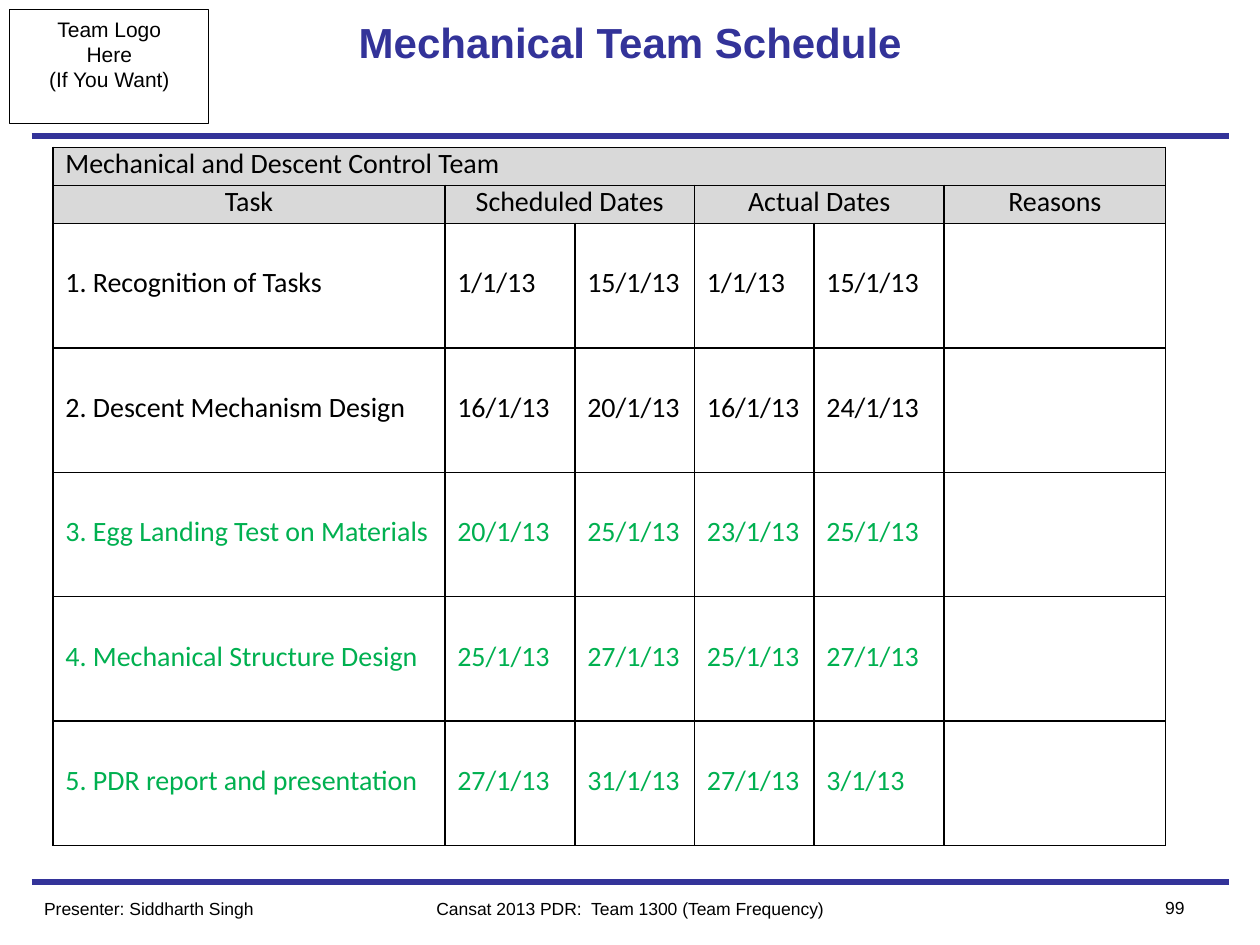
from lxml.etree import SubElement
from pptx import Presentation
from pptx.dml.color import RGBColor
from pptx.enum.shapes import MSO_CONNECTOR, MSO_SHAPE
from pptx.enum.text import MSO_ANCHOR, MSO_AUTO_SIZE, PP_ALIGN
from pptx.oxml import parse_xml
from pptx.oxml.ns import nsdecls, qn
from pptx.util import Cm, Pt

HUES = {"blue": "333399", "black": "000000", "green": "00B050", "gray": "D9D9D9"}
LEFT, MID, RIGHT = PP_ALIGN.LEFT, PP_ALIGN.CENTER, PP_ALIGN.RIGHT


def hue(name):
    return RGBColor.from_string(HUES[name])


def write(frame, text, size=10, face="Arial", color="black", bold=False,
          align=LEFT, anchor=MSO_ANCHOR.TOP, space=1.0):
    frame.vertical_anchor = anchor
    frame.text = text
    for para in frame.paragraphs:
        para.alignment = align
        para.line_spacing = space
        for run in para.runs:
            font = run.font
            font.size, font.name, font.bold = Pt(size), face, bold
            font.color.rgb = hue(color)


deck = Presentation()
deck.slide_width, deck.slide_height = Cm(25.4), Cm(19.05)
slide = deck.slides.add_slide(deck.slide_layouts[5])
shapes = slide.shapes

# Rules above and below the content
for y in (2.74, 17.78):
    rule = shapes.add_connector(MSO_CONNECTOR.STRAIGHT, Cm(0.64), Cm(y), Cm(24.77), Cm(y))
    rule.line.color.rgb = hue("blue")
    rule.line.width = Pt(3)
    SubElement(rule._element.spPr, qn("a:effectLst"))

# Logo box
logo = shapes.add_shape(MSO_SHAPE.RECTANGLE, Cm(0.2), Cm(0.2), Cm(4.01), Cm(2.29))
logo.shadow.inherit = False
logo.fill.background()
logo.line.color.rgb = hue("black")
logo.line.width = Pt(0.5)
write(logo.text_frame, "Team Logo\nHere\n(If You Want)", size=12, align=MID)
logo.text_frame.word_wrap = False

# Title
title = shapes.title
title.left, title.top, title.width, title.height = Cm(4.45), Cm(0.2), Cm(16.51), Cm(2.34)
write(title.text_frame, "Mechanical Team Schedule", size=24, color="blue",
      bold=True, align=MID)
title.text_frame.auto_size = MSO_AUTO_SIZE.NONE

# Footer
for text, x, y, wide, align in (
    ("Presenter: Siddharth Singh", 0.64, 17.98, 6.35, LEFT),
    ("Cansat 2013 PDR:  Team 1300 (Team Frequency)", 7.62, 17.98, 10.16, MID),
    ("99", 22.23, 17.95, 1.9, RIGHT),
):
    box = shapes.add_textbox(Cm(x), Cm(y), Cm(wide), Cm(0.69))
    box.text_frame.word_wrap = True
    write(box.text_frame, text, align=align)

# Schedule table: two heading rows, then one row per task
rows = (
    ("Mechanical and Descent Control Team", "", "", "", "", ""),
    ("Task", "Scheduled Dates", "", "Actual Dates", "", "Reasons"),
    ("1. Recognition of Tasks", "1/1/13", "15/1/13", "1/1/13", "15/1/13", ""),
    ("2. Descent Mechanism Design", "16/1/13", "20/1/13", "16/1/13", "24/1/13", ""),
    ("3. Egg Landing Test on Materials", "20/1/13", "25/1/13", "23/1/13", "25/1/13", ""),
    ("4. Mechanical Structure Design", "25/1/13", "27/1/13", "25/1/13", "27/1/13", ""),
    ("5. PDR report and presentation", "27/1/13", "31/1/13", "27/1/13", "3/1/13", ""),
)
wides = (7.9, 2.62, 2.41, 2.41, 2.62, 4.47)
highs = [0.76] * 2 + [2.51] * 5
table = shapes.add_table(len(rows), len(wides), Cm(1.07), Cm(2.97),
                         Cm(sum(wides)), Cm(sum(highs))).table
table.first_row = table.horz_banding = False
for col, wide in zip(table.columns, wides):
    col.width = Cm(wide)
for row, high in zip(table.rows, highs):
    row.height = Cm(high)
for r, first, last in ((0, 0, 5), (1, 1, 2), (1, 3, 4)):
    table.cell(r, first).merge(table.cell(r, last))

for r, row in enumerate(rows):
    for c, text in enumerate(row):
        cell = table.cell(r, c)
        cell.margin_left = cell.margin_right = Cm(0.25)
        cell.margin_top, cell.margin_bottom = Cm(0.08), Cm(0.13)
        cell.vertical_anchor = MSO_ANCHOR.MIDDLE
        for side in "LRTB":
            cell._tc.get_or_add_tcPr().append(parse_xml(
                f'<a:ln{side} {nsdecls("a")} w="12700"><a:solidFill>'
                f'<a:srgbClr val="{HUES["black"]}"/></a:solidFill></a:ln{side}>'))
        if r < 2:
            cell.fill.solid()
            cell.fill.fore_color.rgb = hue("gray")
        else:
            cell.fill.background()
        if text:
            write(cell.text_frame, text, size=16, face="Calibri",
                  color="green" if r > 3 else "black",
                  align=MID if r == 1 else LEFT, anchor=None, space=0.82)

deck.save("out.pptx")
